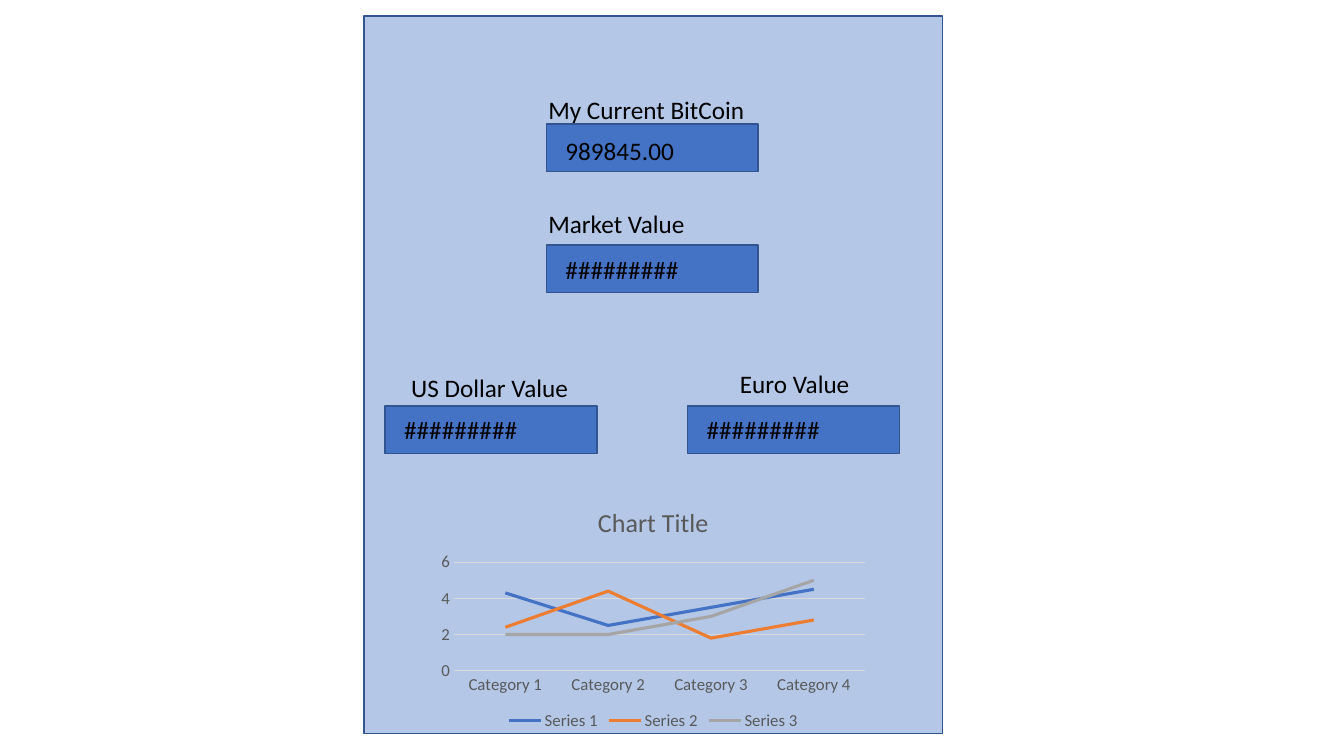
from pptx import Presentation
from pptx.chart.data import CategoryChartData
from pptx.dml.color import RGBColor
from pptx.enum.chart import XL_CHART_TYPE, XL_LEGEND_POSITION, XL_TICK_MARK
from pptx.enum.shapes import MSO_SHAPE
from pptx.enum.text import MSO_AUTO_SIZE
from pptx.util import Inches, Pt

LINE_CHART = XL_CHART_TYPE.LINE
LEGEND_BOTTOM = XL_LEGEND_POSITION.BOTTOM
NO_TICK = XL_TICK_MARK.NONE
RECTANGLE = MSO_SHAPE.RECTANGLE
GROW = MSO_AUTO_SIZE.SHAPE_TO_FIT_TEXT

PANEL_BLUE = RGBColor(0xB4, 0xC7, 0xE7)
FIELD_BLUE = RGBColor(0x44, 0x72, 0xC4)
BORDER_BLUE = RGBColor(0x32, 0x54, 0x91)
ORANGE = RGBColor(0xED, 0x7D, 0x31)
GRAY = RGBColor(0xA5, 0xA5, 0xA5)
GRID_GRAY = RGBColor(0xD9, 0xD9, 0xD9)
CHART_TEXT = RGBColor(0x59, 0x59, 0x59)
BLACK = RGBColor(0, 0, 0)

FIELD_WIDTH, FIELD_HEIGHT = 2.1, 0.47
VALUE_INSET, TEXT_HEIGHT = 0.09, 0.4
MASKED = "#########"

FIELDS = [
    {"label": "My Current BitCoin", "value": "989845.00", "field": (5.42, 1.23),
     "label_box": (-0.08, -0.34, 2.18), "value_drop": 0.06},
    {"label": "Market Value", "value": MASKED, "field": (5.42, 2.43),
     "label_box": (-0.08, -0.41, 2.18), "value_drop": 0.04},
    {"label": "US Dollar Value", "value": MASKED, "field": (3.82, 4.03),
     "label_box": (0.16, -0.39, 1.77), "value_drop": 0.03},
    {"label": "Euro Value", "value": MASKED, "field": (6.82, 4.03),
     "label_box": (0.42, -0.43, 1.52), "value_drop": 0.03},
]
CATEGORIES = [f"Category {number}" for number in range(1, 5)]
SERIES = [
    ("Series 1", (4.3, 2.5, 3.5, 4.5), FIELD_BLUE),
    ("Series 2", (2.4, 4.4, 1.8, 2.8), ORANGE),
    ("Series 3", (2, 2, 3, 5), GRAY),
]


def set_font(font, size, color):
    """Apply the deck typeface with a size and a colour."""
    for name, value in {"name": "Calibri", "size": Pt(size), "bold": False}.items():
        setattr(font, name, value)
    font.color.rgb = color


def set_line(line, width, color):
    """Give a line its width and colour."""
    line.width = Pt(width)
    line.color.rgb = color


def add_rectangle(slide, box, fill):
    """Draw a bordered rectangle in the given box."""
    shape = slide.shapes.add_shape(RECTANGLE, *map(Inches, box))
    shape.shadow.inherit = False
    shape.fill.solid()
    shape.fill.fore_color.rgb = fill
    set_line(shape.line, 1, BORDER_BLUE)


def add_text(slide, box, text):
    """Place one line of body text in the given box."""
    frame = slide.shapes.add_textbox(*map(Inches, box)).text_frame
    frame.word_wrap = True
    frame.auto_size = GROW
    span = frame.paragraphs[0].add_run()
    span.text = text
    set_font(span.font, 18, BLACK)


def add_field(slide, field, label, value, label_box, value_drop):
    """Draw a value field with its label above."""
    left, top = field
    shift, rise, label_width = label_box
    add_rectangle(slide, (left, top, FIELD_WIDTH, FIELD_HEIGHT), FIELD_BLUE)
    add_text(slide, (left + shift, top + rise, label_width, TEXT_HEIGHT), label)
    add_text(slide, (left + VALUE_INSET, top + value_drop,
                     FIELD_WIDTH - 2 * VALUE_INSET, TEXT_HEIGHT), value)


def add_line_chart(slide, box):
    """Draw the three-series line chart in the given box."""
    chart_data = CategoryChartData()
    chart_data.categories = CATEGORIES
    for name, values, _ in SERIES:
        chart_data.add_series(name, values)
    chart = slide.shapes.add_chart(LINE_CHART, *map(Inches, box), chart_data).chart
    set_font(chart.font, 12, CHART_TEXT)

    chart.has_title = True
    title_span = chart.chart_title.text_frame.paragraphs[0].add_run()
    title_span.text = "Chart Title"
    set_font(title_span.font, 18.6, CHART_TEXT)
    chart.chart_title.include_in_layout = False

    chart.has_legend = True
    chart.legend.position = LEGEND_BOTTOM
    chart.legend.include_in_layout = False
    set_font(chart.legend.font, 12, CHART_TEXT)

    for axis in (chart.category_axis, chart.value_axis):
        axis.major_tick_mark = axis.minor_tick_mark = NO_TICK
        set_font(axis.tick_labels.font, 12, CHART_TEXT)
    set_line(chart.category_axis.format.line, 0.75, GRID_GRAY)
    scale = {"minimum_scale": 0, "maximum_scale": 6, "major_unit": 2}
    for name, value in scale.items():
        setattr(chart.value_axis, name, value)
    chart.value_axis.format.line.fill.background()
    set_line(chart.value_axis.major_gridlines.format.line, 0.75, GRID_GRAY)

    for series, (_, _, color) in zip(chart.plots[0].series, SERIES):
        series.smooth = False
        set_line(series.format.line, 2.25, color)


def main():
    """Build the wallet slide and save the deck."""
    deck = Presentation()
    deck.slide_width, deck.slide_height = Inches(13.33), Inches(7.5)
    slide = deck.slides.add_slide(deck.slide_layouts.get_by_name("Blank"))
    add_rectangle(slide, (3.61, 0.16, 5.74, 7.12), PANEL_BLUE)
    for field in FIELDS:
        add_field(slide, **field)
    add_line_chart(slide, (4.29, 4.85, 4.38, 2.44))
    deck.save("out.pptx")


if __name__ == "__main__":
    main()
